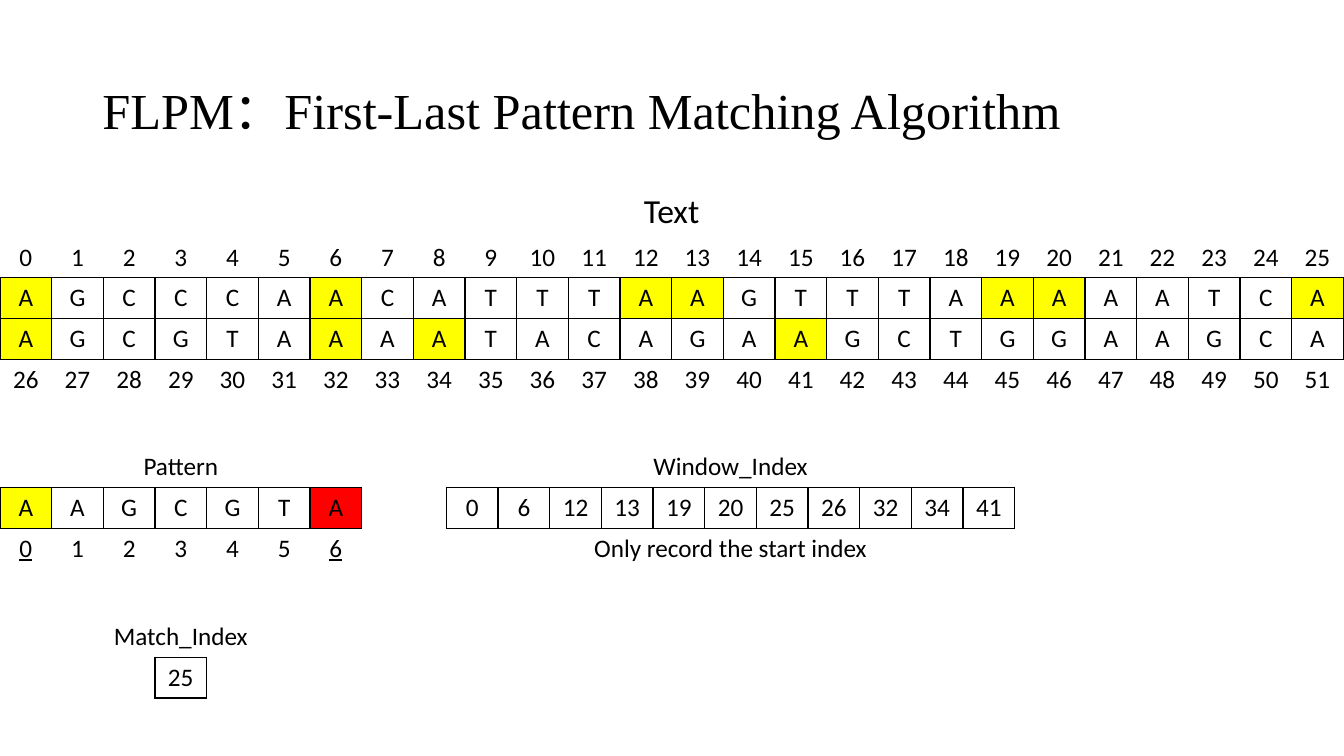
import dataclasses

import lxml.etree
import pptx
import pptx.dml.color
import pptx.enum.text
import pptx.oxml.ns
import pptx.util

Cm = pptx.util.Cm


@dataclasses.dataclass(frozen=True)
class Theme:
    ink: str = "000000"
    start: str = "FFFF00"
    end: str = "FF0000"
    title_font: str = "Times New Roman"
    body_font: str = "Calibri"
    title_size: int = 36
    heading_size: int = 24
    body_size: int = 18
    border: int = 1


def rgb(color):
    return pptx.dml.color.RGBColor.from_string(color)


def write(frame, text, *, font, size, color, align=None, spacing=None, underline=None):
    paragraph = frame.paragraphs[0]
    paragraph.alignment = align
    paragraph.line_spacing = spacing
    run = paragraph.add_run()
    run.text = text
    run.font.name = font
    run.font.size = pptx.util.Pt(size)
    run.font.color.rgb = rgb(color)
    run.font.underline = underline


class SlideBuilder:
    SIDES = {"L": (0, -1), "R": (0, 1), "T": (-1, 0), "B": (1, 0)}

    def __init__(self, slide, theme):
        self.slide = slide
        self.theme = theme

    def title(self, text, left, top, width, height):
        frame = self.slide.shapes.add_textbox(left, top, width, height).text_frame
        frame.word_wrap = True
        frame.vertical_anchor = pptx.enum.text.MSO_ANCHOR.MIDDLE
        write(frame, text, font=self.theme.title_font, size=self.theme.title_size,
              color=self.theme.ink, spacing=0.9)

    def border(self, cell, side, visible):
        qn = pptx.oxml.ns.qn
        properties = cell._tc.get_or_add_tcPr()
        width = str(pptx.util.Pt(self.theme.border))
        line = lxml.etree.SubElement(properties, qn(f"a:ln{side}"), w=width)
        if visible:
            fill = lxml.etree.SubElement(line, qn("a:solidFill"))
            lxml.etree.SubElement(fill, qn("a:srgbClr"), val=self.theme.ink)
        else:
            lxml.etree.SubElement(line, qn("a:noFill"))

    def grid(self, left, top, column, rows, boxed_rows, fills=None, underlined=(),
             heading_size=None, heading_height=None):
        fills = fills or {}
        row_height = Cm(1.03)
        heights = [heading_height or row_height] + [row_height] * (len(rows) - 1)
        columns = max(len(row) for row in rows if not isinstance(row, str))
        table = self.slide.shapes.add_table(
            len(rows), columns, left, top, column * columns, sum(heights)).table
        table.first_row = table.horz_banding = False
        for table_column in table.columns:
            table_column.width = column
        boxed = {(r, c) for r in boxed_rows for c, text in enumerate(rows[r]) if text}
        for r, row in enumerate(rows):
            table.rows[r].height = heights[r]
            if isinstance(row, str):
                table.cell(r, 0).merge(table.cell(r, columns - 1))
                row = [row] + [""] * (columns - 1)
            for c, text in enumerate(row):
                cell = table.cell(r, c)
                for side, (down, across) in self.SIDES.items():
                    self.border(cell, side, bool({(r, c), (r + down, c + across)} & boxed))
                if (r, c) in fills:
                    cell.fill.solid()
                    cell.fill.fore_color.rgb = rgb(fills[r, c])
                else:
                    cell.fill.background()
                if text:
                    size = heading_size if r == 0 and heading_size else self.theme.body_size
                    write(cell.text_frame, text, font=self.theme.body_font, size=size,
                          color=self.theme.ink, align=pptx.enum.text.PP_ALIGN.CENTER,
                          underline=True if (r, c) in underlined else None)


def numbers(*bounds):
    return [str(n) for n in range(*bounds)]


def main():
    theme = Theme()
    deck = pptx.Presentation()
    deck.slide_width, deck.slide_height = Cm(33.87), Cm(19.05)
    builder = SlideBuilder(deck.slides.add_slide(deck.slide_layouts[6]), theme)
    builder.title("FLPM：First-Last Pattern Matching Algorithm",
                  Cm(2.33), Cm(1.01), Cm(29.21), Cm(3.68))

    sequence = ["AGCCCAACATTTAAGTTTAAAAATCA", "AGCGTAAAATACAGAAGCTGGAAGCA"]
    length = len(sequence[0])
    column = deck.slide_width // length
    window_starts = [0, 6, 12, 13, 19, 20, 25, 26, 32, 34, 41]
    start_cells = {}
    for index in window_starts:
        line, position = divmod(index, length)
        start_cells[2 + line, position] = theme.start

    builder.grid(
        Cm(0), Cm(4.7), column,
        ["Text", numbers(length), *map(list, sequence), numbers(length, 2 * length)],
        boxed_rows=[2, 3], fills=start_cells,
        heading_size=theme.heading_size, heading_height=Cm(1.27))

    pattern = list("AAGCGTA")
    last = len(pattern) - 1
    builder.grid(
        Cm(0), Cm(11.25), column, ["Pattern", pattern, numbers(len(pattern))],
        boxed_rows=[1], fills={(1, 0): theme.start, (1, last): theme.end},
        underlined={(2, 0), (2, last)})

    builder.grid(
        Cm(11.25), Cm(11.25), column,
        ["Window_Index", [str(start) for start in window_starts],
         "Only record the start index"],
        boxed_rows=[1])

    builder.grid(
        Cm(1.3), Cm(15.53), column, ["Match_Index", ["", "", "25", "", ""]],
        boxed_rows=[1])

    deck.save("out.pptx")


if __name__ == "__main__":
    main()
